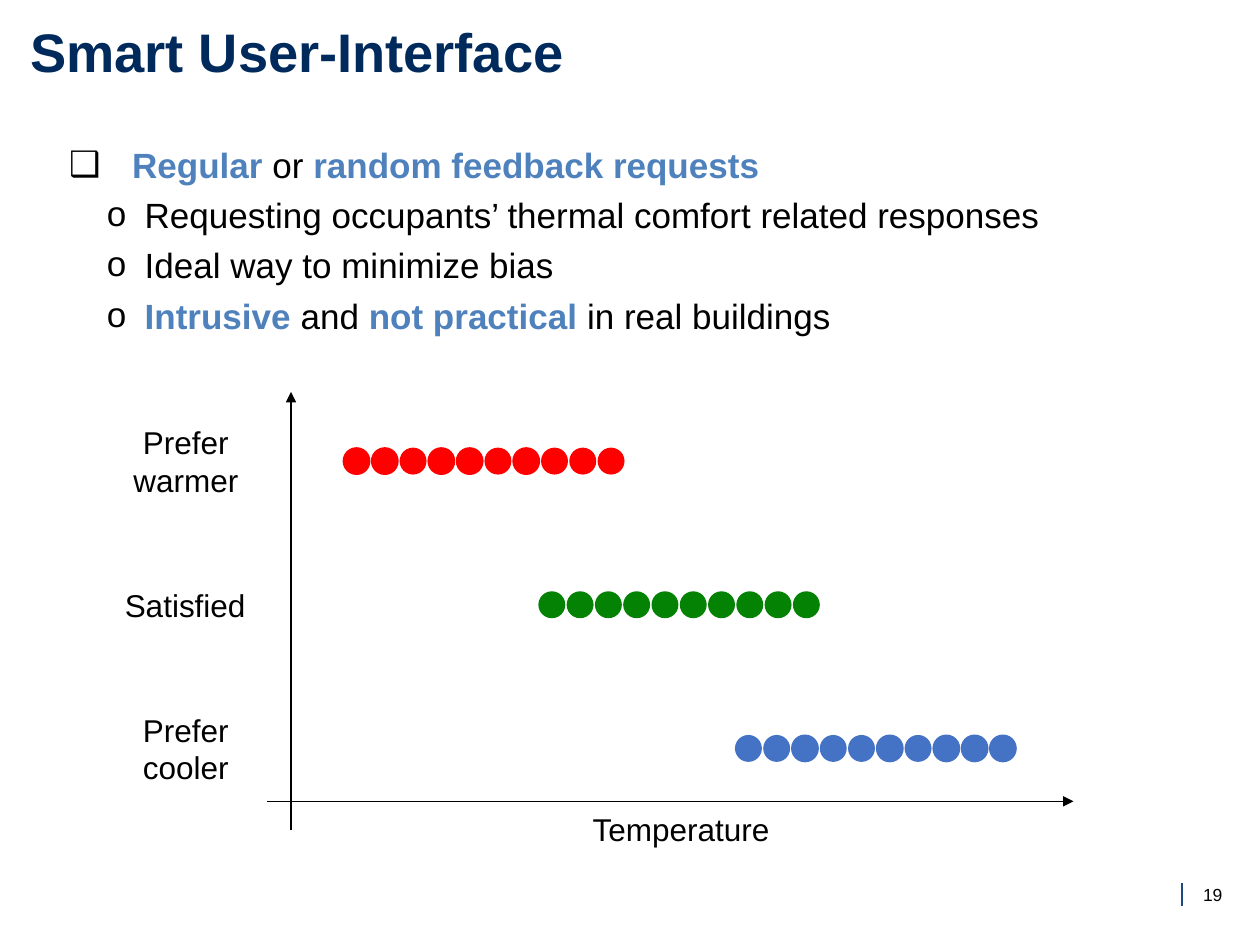
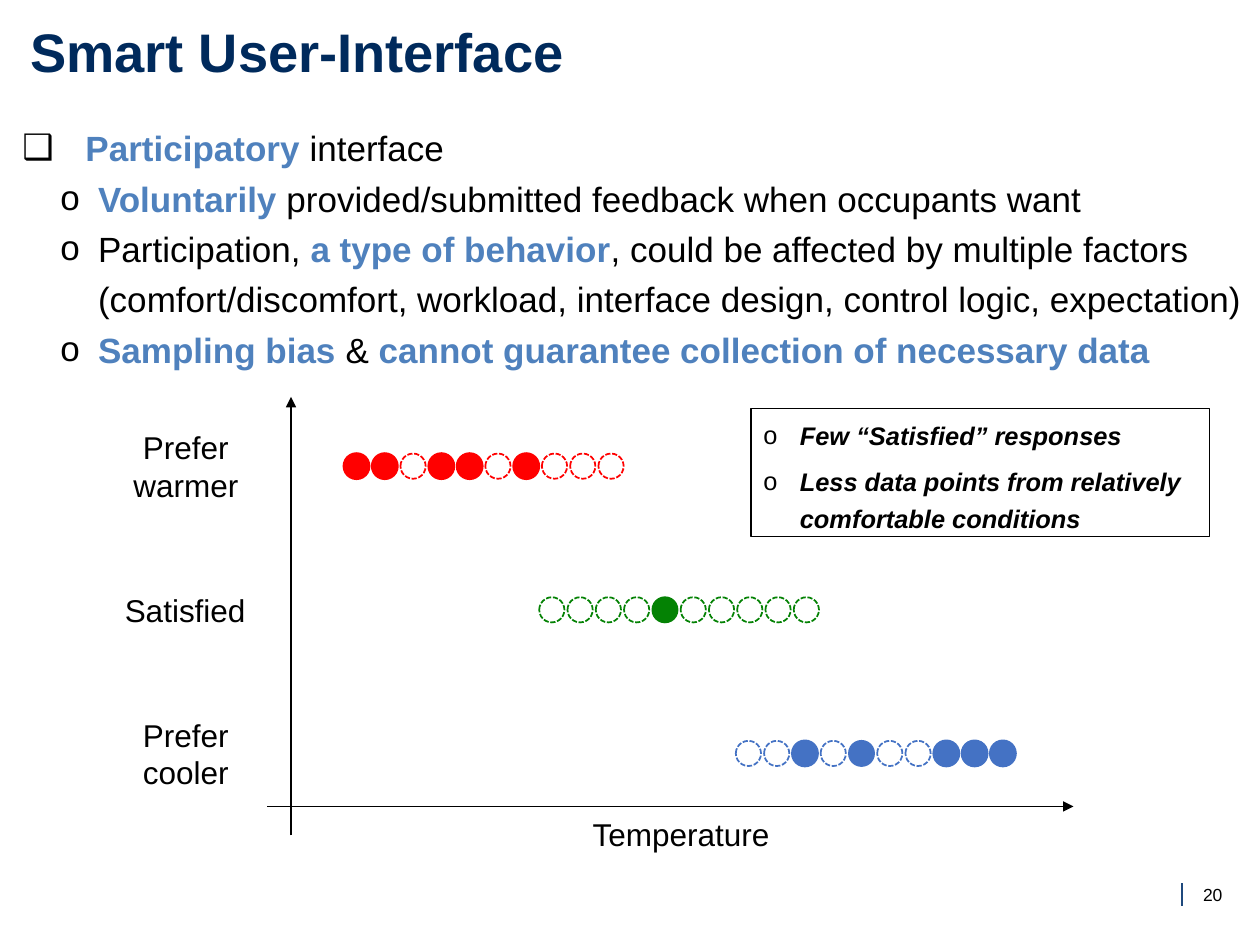
"""Builds two slides on smart user-interface feedback with response charts."""
from lxml import etree
from pptx import Presentation
from pptx import util as u
from pptx.dml.color import RGBColor
from pptx.enum import dml, shapes, text
from pptx.oxml import ns

COLORS = {
    "title": "002A5C",
    "ink": "000000",
    "accent": "4F81BD",
    "divider": "1F497D",
    "warmer": "FF0000",
    "satisfied": "048204",
    "cooler": "4472C4",
}
FONT = "Arial"
DOT_COUNT, DOT_SIZE, DOT_STEP = 10, 0.2, 2.02 / 9
ALL_DOTS = set(range(DOT_COUNT))

RESPONSES = [
    ("warmer", 2.73, 3.56, {0, 1, 3, 4, 6}),
    ("satisfied", 4.28, 4.7, set()),
    ("cooler", 5.84, 5.84, {2, 5, 7, 8, 9}),
]
AXIS_LABELS = [
    ("Temperature", 3.22, 6.38, 4.37, 0.4),
    ("Prefer warmer", 0.87, 3.31, 1.21, 0.71),
    ("Satisfied", 0.42, 4.6, 2.1, 0.4),
    ("Prefer cooler", 0.87, 5.59, 1.21, 0.71),
]


class Deck:
    def __init__(self):
        self.prs = Presentation()
        self.prs.slide_width, self.prs.slide_height = u.Inches(10), u.Inches(7.5)
        self.slide = None

    @staticmethod
    def color(name):
        return RGBColor.from_string(COLORS[name])

    @staticmethod
    def place(*lengths):
        return [u.Inches(length) for length in lengths]

    def style(self, run, size, color="ink", bold=False, italic=False):
        font = run.font
        font.name, font.size = FONT, u.Pt(size)
        font.bold, font.italic = bold, italic
        font.color.rgb = self.color(color)

    def start(self, title, number):
        self.slide = self.prs.slides.add_slide(self.prs.slide_layouts[5])
        heading = self.slide.shapes.title
        heading.left, heading.top, heading.width, heading.height = self.place(
            0.14, 0.09, 8.33, 0.63)
        frame = heading.text_frame
        frame.text = title
        frame.vertical_anchor = text.MSO_ANCHOR.MIDDLE
        frame.paragraphs[0].alignment = text.PP_ALIGN.LEFT
        self.style(frame.paragraphs[0].runs[0], 31, "title", bold=True)
        self.line(9.38, 7.01, 9.38, 7.19, "divider")
        page = self.label(str(number), 9.25, 6.9, 0.55, 0.4, 10, text.PP_ALIGN.RIGHT)
        page.vertical_anchor = text.MSO_ANCHOR.MIDDLE

    def line(self, x1, y1, x2, y2, color="ink", arrow=False):
        connector = self.slide.shapes.add_connector(
            shapes.MSO_CONNECTOR.STRAIGHT, *self.place(x1, y1, x2, y2))
        connector.line.color.rgb = self.color(color)
        connector.line.width = u.Pt(0.75)
        if arrow:
            etree.SubElement(connector.line._get_or_add_ln(),
                             ns.qn("a:tailEnd"), type="triangle")
        etree.SubElement(connector._element.spPr, ns.qn("a:effectLst"))

    def label(self, wording, x, y, w, h, size=18, align=text.PP_ALIGN.CENTER):
        frame = self.slide.shapes.add_textbox(*self.place(x, y, w, h)).text_frame
        frame.word_wrap = True
        frame.text = wording
        frame.paragraphs[0].alignment = align
        self.style(frame.paragraphs[0].runs[0], size)
        return frame

    def bullet(self, paragraph, char, margin, indent):
        props = paragraph._p.get_or_add_pPr()
        props.set("marL", str(u.Inches(margin)))
        props.set("indent", str(u.Inches(indent)))
        bullet_color = etree.SubElement(props, ns.qn("a:buClr"))
        etree.SubElement(bullet_color, ns.qn("a:srgbClr"), val=COLORS["ink"])
        etree.SubElement(props, ns.qn("a:buFont"), typeface=FONT)
        etree.SubElement(props, ns.qn("a:buChar"), char=char)
        paragraph.line_spacing = 1.2

    def outline(self, x, y, w, h, points):
        """Adds a head point and its sub-points; *stars* mark emphasis."""
        frame = self.slide.shapes.add_textbox(*self.place(x, y, w, h)).text_frame
        frame.word_wrap = True
        for index, point in enumerate(points):
            paragraph = frame.add_paragraph() if index else frame.paragraphs[0]
            if index:
                paragraph.level = 2
                self.bullet(paragraph, "o", 0.6, -0.3)
            else:
                self.bullet(paragraph, "❑", 0.5, -0.5)
            for part, wording in enumerate(point.split("*")):
                strong = part % 2 == 1
                for row, piece in enumerate(wording.split("\n")):
                    if row:
                        paragraph.add_line_break()
                    if piece:
                        run = paragraph.add_run()
                        run.text = piece
                        self.style(run, 20, "accent" if strong else "ink", strong)

    def remark(self, x, y, w, h, points):
        box = self.slide.shapes.add_shape(
            shapes.MSO_SHAPE.RECTANGLE, *self.place(x, y, w, h))
        box.shadow.inherit = False
        box.fill.background()
        box.line.color.rgb = self.color("ink")
        box.line.width = u.Pt(0.75)
        frame = box.text_frame
        frame.word_wrap = True
        frame.vertical_anchor = text.MSO_ANCHOR.TOP
        frame.text = "\n".join(points)
        for paragraph in frame.paragraphs:
            paragraph.level = 1
            paragraph.alignment = text.PP_ALIGN.LEFT
            self.bullet(paragraph, "o", 0.29, -0.31)
            paragraph.space_after = u.Pt(5.4)
            self.style(paragraph.runs[0], 14.5, bold=True, italic=True)

    def dot(self, x, y, color, filled, thick):
        dot = self.slide.shapes.add_shape(
            shapes.MSO_SHAPE.OVAL, *self.place(x, y, DOT_SIZE, DOT_SIZE))
        dot.shadow.inherit = False
        dot.line.color.rgb = self.color(color)
        dot.line.width = u.Pt(1.5 if filled and thick else 1)
        if filled:
            dot.fill.solid()
            dot.fill.fore_color.rgb = self.color(color)
        else:
            dot.fill.background()
            dot.line.dash_style = dml.MSO_LINE.SQUARE_DOT

    def response_chart(self, answered, drop=0):
        self.line(2.12, 6.36 + drop, 8.52, 6.36 + drop, arrow=True)
        self.line(2.31, 6.59 + drop, 2.31, 3.11 + drop, arrow=True)
        for wording, x, y, w, h in AXIS_LABELS:
            self.label(wording, x, y + drop, w, h)
        for (name, x, y, thick), filled in zip(RESPONSES, answered):
            for index in range(DOT_COUNT):
                self.dot(x + index * DOT_STEP, y + drop, name,
                         index in filled, index in thick)


def main():
    deck = Deck()

    deck.start("Smart User-Interface", 19)
    deck.response_chart([ALL_DOTS] * 3)
    deck.outline(0.45, 1.02, 9.92, 1.68, [
        "*Regular* or *random feedback requests*",
        "Requesting occupants’ thermal comfort related responses",
        "Ideal way to minimize bias",
        "*Intrusive* and *not practical* in real buildings",
    ])

    deck.start("Smart User-Interface", 20)
    deck.remark(5.96, 3.24, 3.64, 1.02, [
        "Few “Satisfied” responses",
        "Less data points from relatively comfortable conditions",
    ])
    deck.response_chart([{0, 1, 3, 4, 6}, {4}, {2, 4, 7, 8, 9}], drop=0.04)
    deck.outline(0.08, 0.89, 10.08, 2.08, [
        "*Participatory* interface",
        "*Voluntarily* provided/submitted feedback when occupants want",
        "Participation, *a type of behavior*, could be affected by multiple factors\n"
        "(comfort/discomfort, workload, interface design, control logic, expectation)",
        "*Sampling bias *& *cannot guarantee collection of necessary data*",
    ])

    deck.prs.save("out.pptx")


if __name__ == "__main__":
    main()
